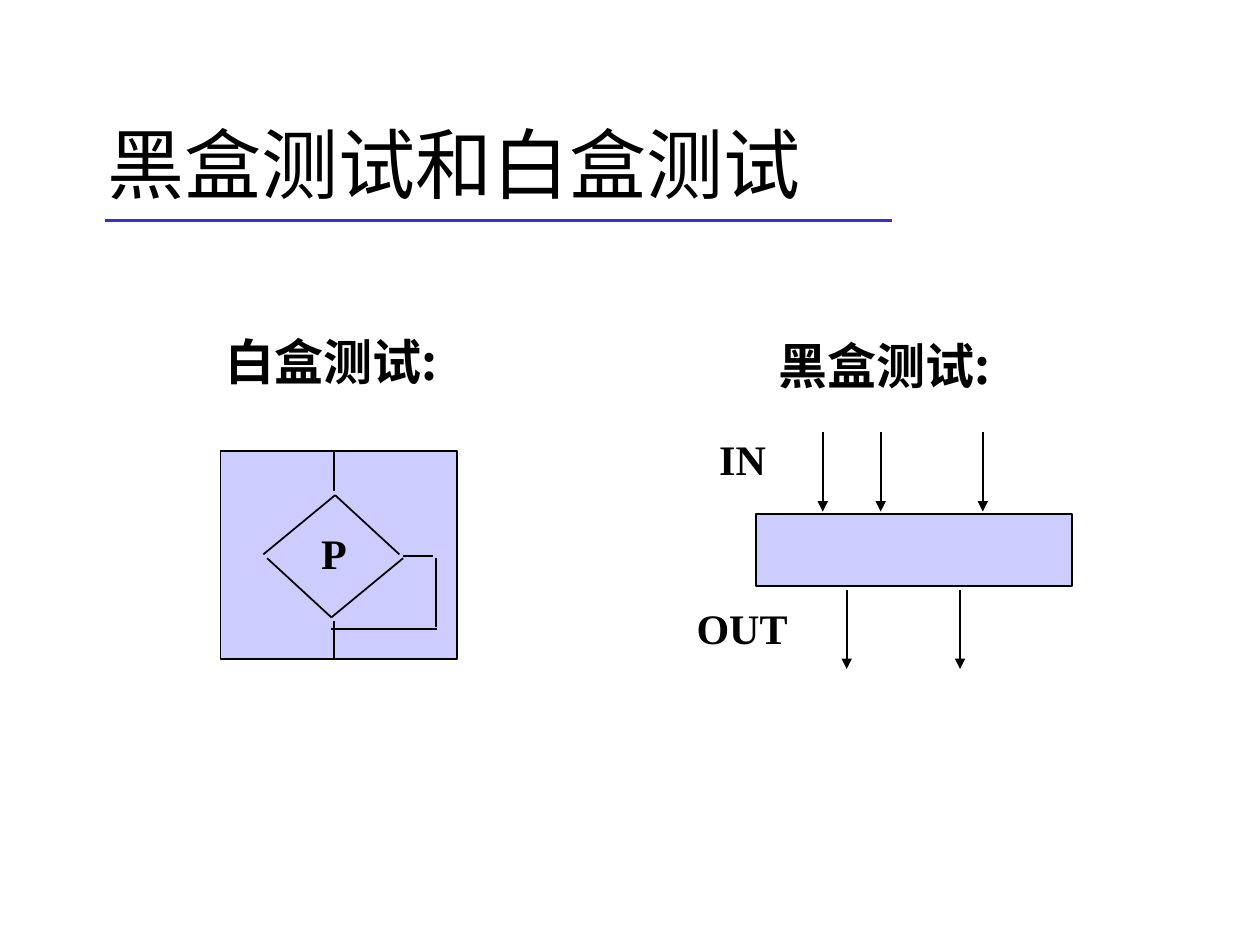
from dataclasses import dataclass

from lxml import etree
from pptx import Presentation
from pptx.dml.color import RGBColor
from pptx.enum import shapes, text
from pptx.oxml import ns
from pptx.util import Inches, Pt


@dataclass(frozen=True)
class Theme:
    ink: RGBColor = RGBColor(0x00, 0x00, 0x00)
    rule: RGBColor = RGBColor(0x33, 0x33, 0xCC)
    box: RGBColor = RGBColor(0xCC, 0xCC, 0xFF)
    latin: str = "Times New Roman"
    cjk: str = "Noto Sans CJK SC"
    title: Pt = Pt(44)
    heading: Pt = Pt(28)
    label: Pt = Pt(24)
    thin: Pt = Pt(1)
    thick: Pt = Pt(2.25)


theme = Theme()
prs = Presentation()
prs.slide_width, prs.slide_height = Inches(10), Inches(7.5)
slide = prs.slides.add_slide(prs.slide_layouts[5])


def add_line(x1, y1, x2, y2, color=theme.ink, width=theme.thin, arrow=False):
    line = slide.shapes.add_connector(
        shapes.MSO_CONNECTOR.STRAIGHT, Inches(x1), Inches(y1), Inches(x2), Inches(y2))
    line.line.color.rgb = color
    line.line.width = width
    if arrow:
        etree.SubElement(line.line._get_or_add_ln(), ns.qn("a:tailEnd"), type="triangle")
    etree.SubElement(line._element.spPr, ns.qn("a:effectLst"))


def add_label(wording, left, top, width, height, size, font, indent=0):
    label = slide.shapes.add_textbox(Inches(left), Inches(top), Inches(width), Inches(height))
    frame = label.text_frame
    frame.word_wrap = False
    frame.auto_size = text.MSO_AUTO_SIZE.SHAPE_TO_FIT_TEXT
    paragraph = frame.paragraphs[0]
    paragraph.text = wording
    if indent:
        paragraph.level = 1
        properties = paragraph._p.get_or_add_pPr()
        properties.set("marL", str(Inches(indent)))
        properties.set("indent", "0")
    paragraph.font.size = size
    paragraph.font.name = font
    paragraph.font.bold = True
    paragraph.font.color.rgb = theme.ink


add_line(0.83, 1.75, 7.08, 1.75, theme.rule, theme.thick)

title = slide.shapes.title
title.left, title.top, title.width, title.height = (
    Inches(0.75), Inches(0.67), Inches(8.5), Inches(1.25))
title.text_frame.text = "黑盒测试和白盒测试"
title.text_frame.vertical_anchor = text.MSO_ANCHOR.MIDDLE
title_line = title.text_frame.paragraphs[0]
title_line.alignment = text.PP_ALIGN.LEFT
title_line.font.size = theme.title
title_line.font.name = theme.latin
title_line.font.color.rgb = theme.ink

for bounds in ((1.75, 3.58, 1.88, 1.65), (6, 4.08, 2.51, 0.57)):
    box = slide.shapes.add_shape(
        shapes.MSO_SHAPE.RECTANGLE, *(Inches(length) for length in bounds))
    box.shadow.inherit = False
    box.fill.solid()
    box.fill.fore_color.rgb = theme.box
    box.line.color.rgb = theme.ink
    box.line.width = theme.thin

arrow_length = 0.63
for top, columns in ((3.43, (6.53, 6.99, 7.8)), (4.68, (6.72, 7.62))):
    for x in columns:
        add_line(x, top, x, top + arrow_length, arrow=True)

flow_segments = (
    (2.65, 3.59, 2.65, 3.9),
    (2.66, 3.93, 2.09, 4.4),
    (2.12, 4.43, 2.63, 4.9),
    (2.66, 3.93, 3.17, 4.4),
    (3.2, 4.43, 2.63, 4.9),
    (2.65, 4.93, 2.65, 5.23),
    (3.2, 4.41, 3.44, 4.41),
    (3.46, 4.43, 3.46, 4.98),
    (3.47, 4.99, 2.63, 4.99),
)
for segment in flow_segments:
    add_line(*segment)

for wording, left, top, width in (
        ("P", 2.45, 4.14, 0.4), ("IN", 5.61, 3.39, 0.57), ("OUT", 5.43, 4.73, 0.92)):
    add_label(wording, left, top, width, 0.5, theme.label, theme.latin)

for wording, left, top in (("白盒测试:", 1.19, 2.58), ("黑盒测试:", 5.58, 2.61)):
    add_label(wording, left, top, 2.58, 0.56, theme.heading, theme.cjk, indent=0.5)

prs.save("out.pptx")
